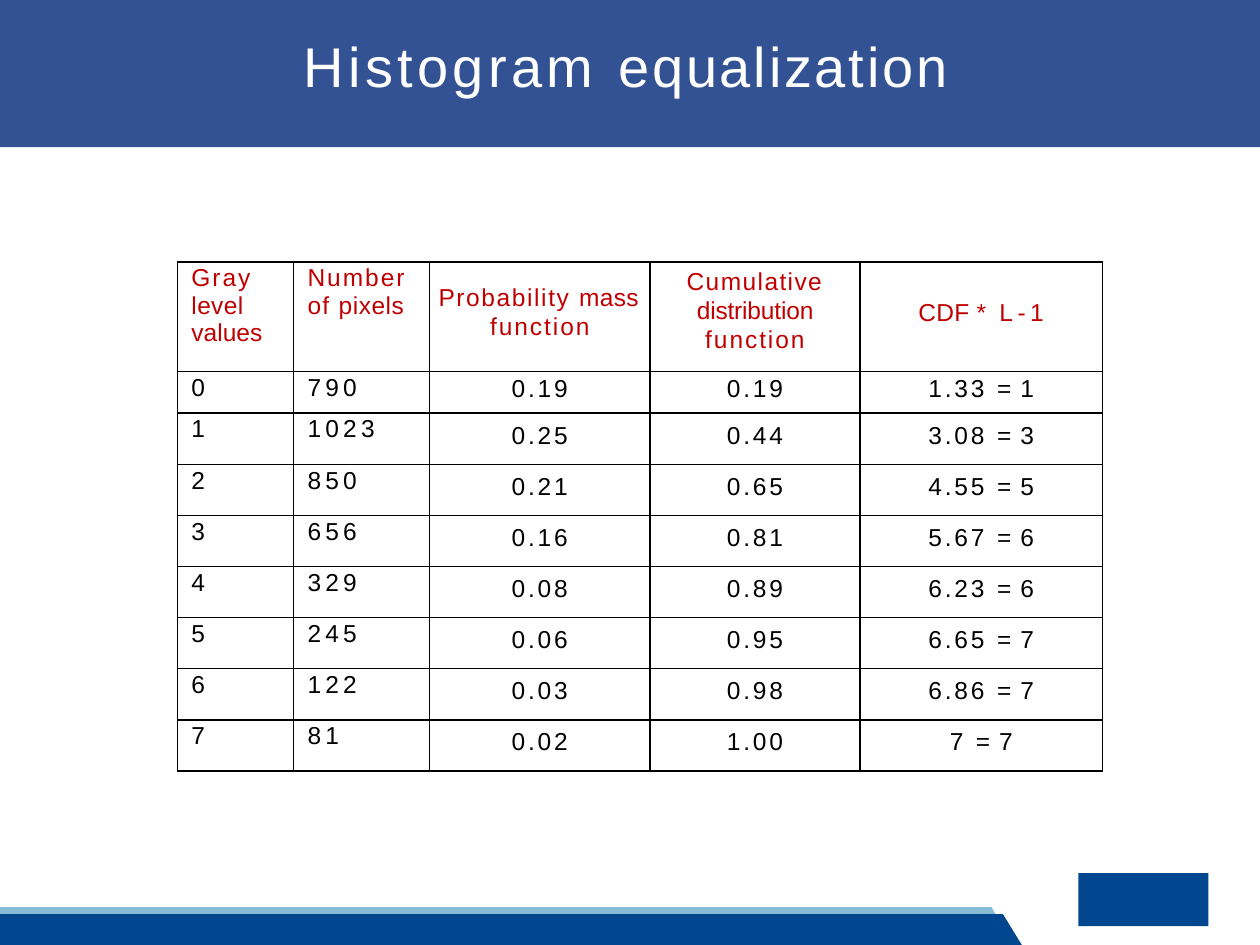
import pptx
import pptx.dml.color
import pptx.enum.shapes
import pptx.enum.text
import pptx.oxml
import pptx.oxml.ns
import pptx.util

Cm = pptx.util.Cm
Pt = pptx.util.Pt
ALIGN = pptx.enum.text.PP_ALIGN

BLUE, NAVY, SKY = "335294", "004790", "86BCD5"
WHITE, BLACK, RED = "FFFFFF", "000000", "C00000"

# Each text is a list of (words, letter spacing in points) runs.
HEADERS = [
    [[("Gray ", 1.1), ("level ", 0.2), ("values", 0)]],
    [[("Number", 1.1)], [("of ", 0.7), ("pixels", 0.3)]],
    [[("Probability ", 0.9), ("mass ", 0.2), ("function", 1.1)]],
    [[("Cumulative ", 0.8), ("distribution ", -0.1), ("function", 1.1)]],
    [[("CDF ", 0.1), ("* ", 1.8), ("L-1", 2.6)]],
]
HEADER_INSETS = [0.05, 0.05, 0.41, 0.08, 0.76]
LEVELS = [
    ("0", "790", "0.19", "0.19", "1.33", "1"),
    ("1", "1023", "0.25", "0.44", "3.08", "3"),
    ("2", "850", "0.21", "0.65", "4.55", "5"),
    ("3", "656", "0.16", "0.81", "5.67", "6"),
    ("4", "329", "0.08", "0.89", "6.23", "6"),
    ("5", "245", "0.06", "0.95", "6.65", "7"),
    ("6", "122", "0.03", "0.98", "6.86", "7"),
    ("7", "81", "0.02", "1.00", "7", "7"),
]
COLUMN_WIDTHS = [2.34, 2.74, 4.44, 4.24, 4.88]
ROW_HEIGHTS = [2.21, 0.84] + [1.03] * 7


def colour(value):
    return pptx.dml.color.RGBColor.from_string(value)


class SlideBuilder:
    font_name = "Arial"
    table_size = 14
    border_width = 1

    def __init__(self, slide):
        self.slide = slide

    def paint(self, shape, fill):
        shape.shadow.inherit = False
        shape.fill.solid()
        shape.fill.fore_color.rgb = colour(fill)
        shape.line.fill.background()

    def rectangle(self, left, top, width, height, fill):
        shape = self.slide.shapes.add_shape(
            pptx.enum.shapes.MSO_SHAPE.RECTANGLE,
            Cm(left), Cm(top), Cm(width), Cm(height))
        self.paint(shape, fill)

    def stripe(self, top, bottom, top_right, bottom_right, fill):
        """Draw a bar from the left slide edge with a slanted right end."""
        builder = self.slide.shapes.build_freeform(0, Cm(top))
        builder.add_line_segments([
            (Cm(top_right), Cm(top)),
            (Cm(bottom_right), Cm(bottom)),
            (0, Cm(bottom))])
        self.paint(builder.convert_to_shape(), fill)

    def add_runs(self, paragraph, runs, size, text_colour, alignment=ALIGN.LEFT):
        paragraph.alignment = alignment
        paragraph.font.name = self.font_name
        paragraph.font.size = Pt(size)
        paragraph.font.color.rgb = colour(text_colour)
        for words, spacing in runs:
            run = paragraph.add_run()
            run.text = words
            run.font._element.set("spc", str(round(spacing * 100)))

    def title(self, left, top, width, height, runs):
        frame = self.slide.shapes.add_textbox(
            Cm(left), Cm(top), Cm(width), Cm(height)).text_frame
        frame.word_wrap = True
        frame.margin_left = frame.margin_right = frame.margin_bottom = 0
        frame.margin_top = Cm(0.03)
        self.add_runs(frame.paragraphs[0], runs, 32, WHITE)

    def table(self, left, top, widths, heights):
        table = self.slide.shapes.add_table(
            len(heights), len(widths), Cm(left), Cm(top),
            Cm(sum(widths)), Cm(sum(heights))).table
        table.first_row = table.horz_banding = False
        for column, width in zip(table.columns, widths):
            column.width = Cm(width)
        for row, height in zip(table.rows, heights):
            row.height = Cm(height)
        return table

    def cell(self, cell, paragraphs, text_colour, inset, alignment,
             indent=0, hanging=0, line_spacing=None):
        cell.margin_left = cell.margin_right = cell.margin_bottom = 0
        cell.margin_top = Cm(inset)
        self.borders(cell)
        cell.fill.background()
        frame = cell.text_frame
        for index, runs in enumerate(paragraphs):
            paragraph = frame.add_paragraph() if index else frame.paragraphs[0]
            self.add_runs(paragraph, runs, self.table_size, text_colour, alignment)
            paragraph.line_spacing = line_spacing
            properties = paragraph._p.get_or_add_pPr()
            properties.set("marL", str(Cm(indent)))
            properties.set("indent", str(Cm(hanging)))

    def borders(self, cell):
        properties = cell._tc.get_or_add_tcPr()
        for side in "LRTB":
            properties.append(pptx.oxml.parse_xml(
                f'<a:ln{side} {pptx.oxml.ns.nsdecls("a")} '
                f'w="{Pt(self.border_width)}"><a:solidFill>'
                f'<a:srgbClr val="{BLACK}"/></a:solidFill></a:ln{side}>'))


def fill_table(builder, table):
    column_styles = [
        dict(alignment=ALIGN.LEFT, indent=0.28),
        dict(alignment=ALIGN.LEFT, indent=0.28),
        dict(alignment=ALIGN.LEFT, indent=1.22, hanging=-1.04, line_spacing=1.07),
        dict(alignment=ALIGN.CENTER, line_spacing=1.07),
        dict(alignment=ALIGN.CENTER),
    ]
    for column, style in enumerate(column_styles):
        builder.cell(table.cell(0, column), HEADERS[column], RED,
                     HEADER_INSETS[column], **style)

    for row, (level, pixels, mass, cumulative, scaled, rounded) in enumerate(LEVELS, 1):
        texts = [
            [(level, 0)],
            [(pixels, 2.4)],
            [(mass, 1.6)],
            [(cumulative, 1.6)],
            [(scaled + " ", 1.6), ("= ", 0.6), (rounded, 2.5)],
        ]
        value_inset = 0.08 if row == 1 else 0.18
        for column, runs in enumerate(texts):
            if column < 2:
                style = dict(inset=0.05, **column_styles[column])
            else:
                style = dict(inset=value_inset, alignment=ALIGN.CENTER)
            builder.cell(table.cell(row, column), [runs], BLACK, **style)


def main():
    presentation = pptx.Presentation()
    presentation.slide_width = Cm(25.4)
    presentation.slide_height = Cm(19.05)
    slide = presentation.slides.add_slide(presentation.slide_layouts[6])
    builder = SlideBuilder(slide)

    builder.rectangle(0, 0, 25.4, 2.97, BLUE)
    builder.stripe(18.29, 18.95, 19.99, 20.37, SKY)
    builder.stripe(18.43, 19.05, 20.22, 20.6, NAVY)
    builder.rectangle(21.74, 17.6, 2.62, 1.07, NAVY)

    builder.title(6.12, 0.61, 13.4, 1.42,
                  [("Histogram ", 2.5), ("equalization", 1.6)])
    table = builder.table(3.58, 5.28, COLUMN_WIDTHS, ROW_HEIGHTS)
    fill_table(builder, table)

    presentation.save("out.pptx")


if __name__ == "__main__":
    main()
